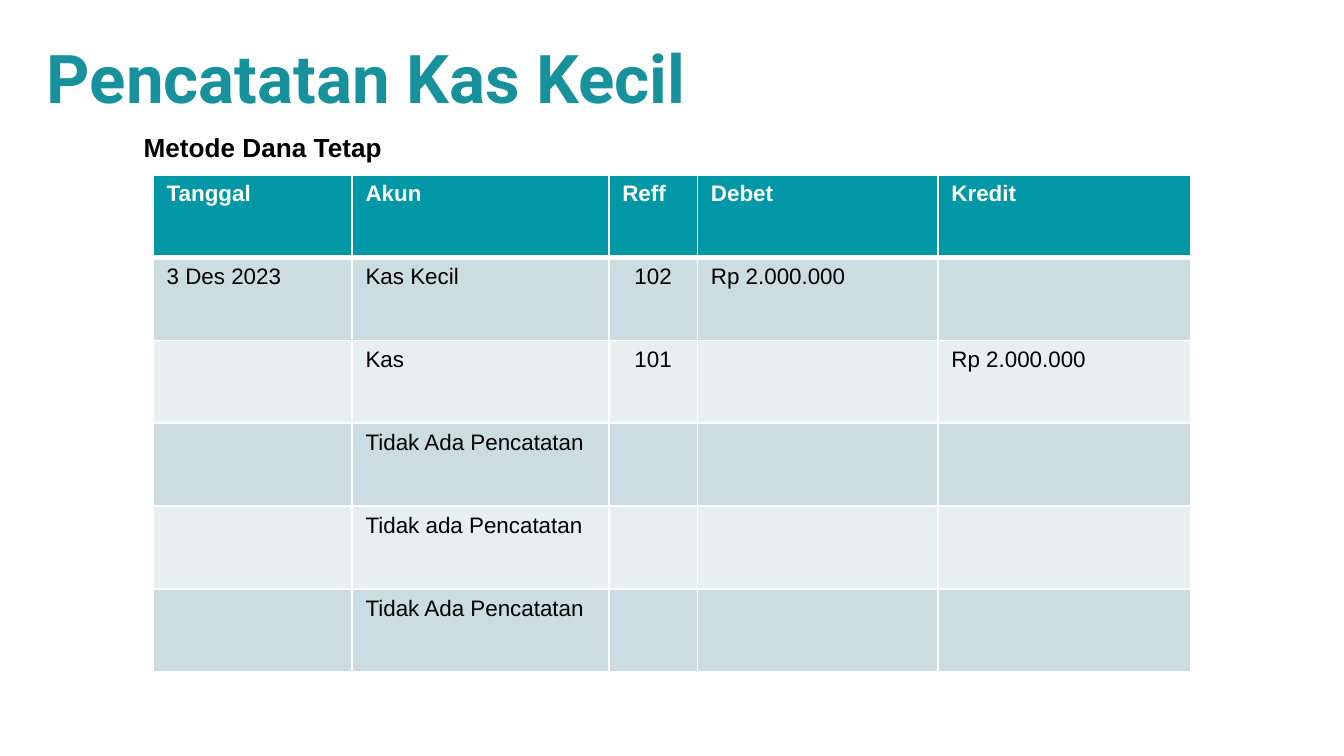
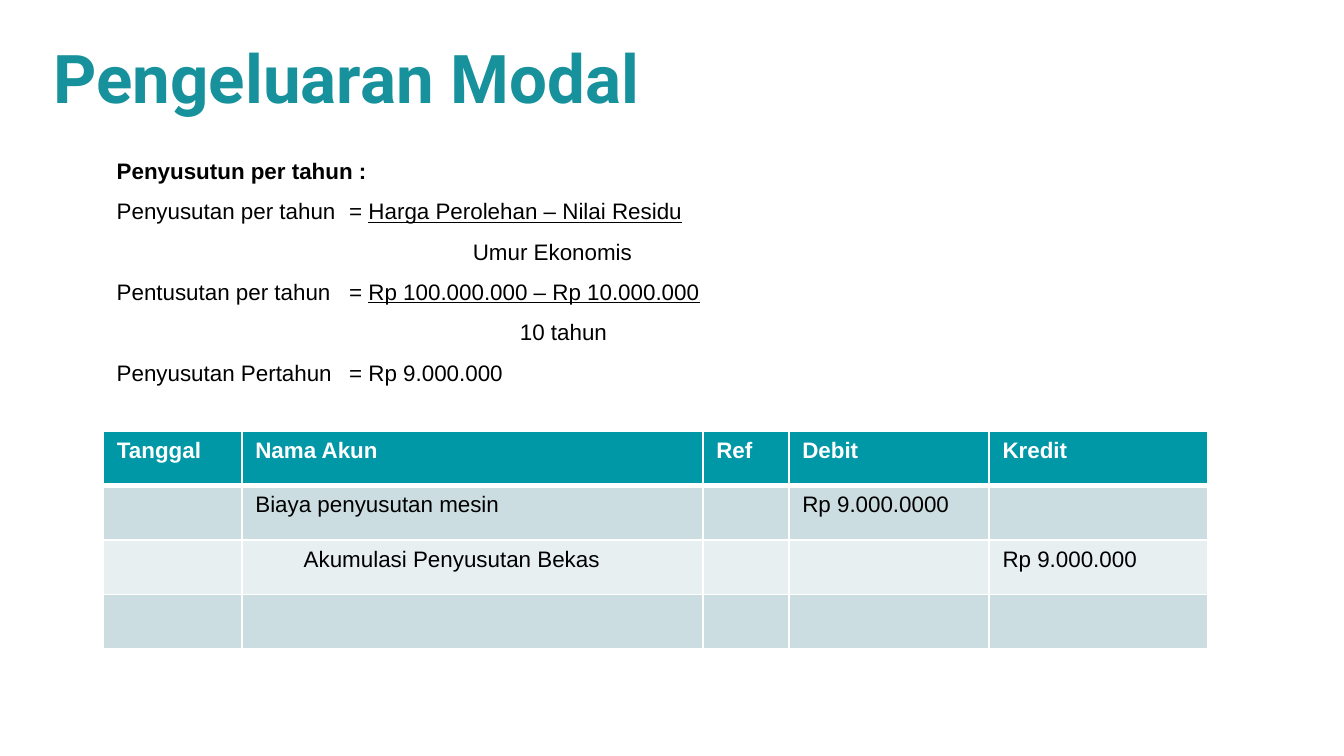
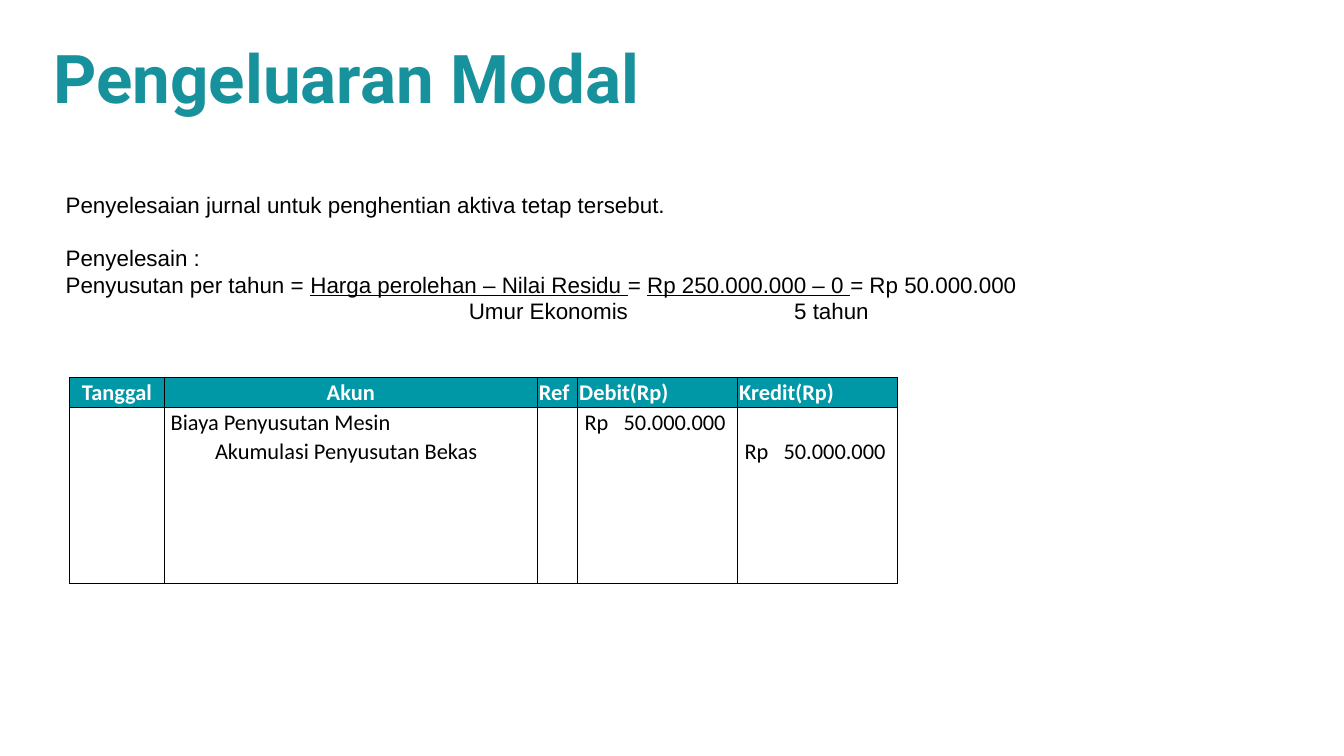
from dataclasses import dataclass

from lxml.etree import SubElement
from pptx import Presentation
from pptx.dml.color import RGBColor
from pptx.enum.text import MSO_ANCHOR, MSO_AUTO_SIZE, PP_ALIGN
from pptx.oxml.ns import qn
from pptx.util import Inches, Pt


@dataclass(frozen=True)
class Theme:
    """Colours, fonts and type sizes shared by the slides."""

    title: str = "17919B"
    header: str = "0097A7"
    bands: tuple = ("CCDDE1", "E7EFF1")
    ink: str = "000000"
    paper: str = "FFFFFF"
    title_font: str = "Roboto"
    body_font: str = "Arial"
    journal_font: str = "Calibri"
    title_size: int = 36
    subtitle_size: int = 14
    body_size: int = 12


THEME = Theme()


def style_font(font, color=THEME.ink, size=THEME.body_size, name=THEME.body_font, bold=False):
    """Apply one type style to a font."""
    font.name, font.size, font.bold = name, Pt(size), bold
    font.color.rgb = RGBColor.from_string(color)


def set_tabs(paragraph, stops):
    """Give a paragraph left tab stops, in inches."""
    tab_list = SubElement(paragraph._p.get_or_add_pPr(), qn("a:tabLst"))
    for stop in stops:
        SubElement(tab_list, qn("a:tab"), pos=str(Inches(stop)), algn="l")


def indent(paragraph, inches):
    """Move a whole paragraph to the right."""
    properties = paragraph._p.get_or_add_pPr()
    properties.set("marL", str(Inches(inches)))
    properties.set("indent", "0")


def add_text_frame(slide, box):
    """Add a wrapping text box that grows with its text."""
    frame = slide.shapes.add_textbox(*map(Inches, box)).text_frame
    frame.word_wrap = True
    frame.auto_size = MSO_AUTO_SIZE.SHAPE_TO_FIT_TEXT
    return frame


def add_title(slide, text, left):
    """Add the slide title, ending at the shared right edge."""
    frame = add_text_frame(slide, (left, 0.26, 9.67 - left, 0.62))
    frame.margin_left = frame.margin_right = frame.margin_bottom = 0
    frame.margin_top = Inches(0.01)
    heading = frame.paragraphs[0]
    heading.text = text
    indent(heading, 0.01)
    style_font(heading.runs[0].font, THEME.title, THEME.title_size, THEME.title_font, True)


def add_subtitle(slide, text, box):
    """Add the bold line that names the method."""
    frame = add_text_frame(slide, box)
    frame.text = text
    style_font(frame.paragraphs[0].runs[0].font, size=THEME.subtitle_size, bold=True)


def add_working(slide, box, lines, spacing=1.0):
    """Add calculation lines of tab stops and pieces, every second piece underlined."""
    frame = add_text_frame(slide, box)
    for number, (stops, *pieces) in enumerate(lines):
        line = frame.add_paragraph() if number else frame.paragraphs[0]
        line.line_spacing = spacing
        if stops:
            set_tabs(line, stops)
        for place, piece in enumerate(pieces):
            run = line.add_run()
            run.text = piece
            style_font(run.font)
            run.font.underline = place % 2 == 1
    return frame


def set_borders(cell, color, **widths):
    """Draw the cell edges L, R, T and B, a width of 0 meaning no line."""
    for side in "LRTB":
        width = widths.get(side, 0)
        edge = SubElement(cell._tc.get_or_add_tcPr(), qn(f"a:ln{side}"), w=str(Pt(width)))
        if width:
            fill = SubElement(edge, qn("a:solidFill"))
            SubElement(fill, qn("a:srgbClr"), val=color)
        else:
            SubElement(edge, qn("a:noFill"))


def fill_cell(cell, text, fill, color, bold, font=THEME.body_font):
    """Set the text and background of a cell."""
    cell.text = text
    entry = cell.text_frame.paragraphs[0]
    for run in entry.runs:
        style_font(run.font, color, name=font, bold=bold)
    if not text:
        SubElement(entry._p, qn("a:endParaRPr"), sz=str(THEME.body_size * 100))
    if fill:
        cell.fill.solid()
        cell.fill.fore_color.rgb = RGBColor.from_string(fill)
    else:
        cell.fill.background()


def add_grid(slide, left, top, widths, height, row_count):
    """Add an empty table with the given columns and equal rows."""
    size = Inches(sum(widths)), Inches(height)
    grid = slide.shapes.add_table(row_count, len(widths), Inches(left), Inches(top), *size).table
    for column, width in zip(grid.columns, widths):
        column.width = Inches(width)
    return grid


def add_banded_ledger(slide, left, top, widths, height, entries):
    """Add a ledger with a teal header and alternating bands."""
    ledger = add_grid(slide, left, top, widths, height, len(entries))
    for r, row in enumerate(entries):
        header = r == 0
        for c, text in enumerate(row):
            cell = ledger.cell(r, c)
            set_borders(cell, THEME.paper, L=1, R=1, T=3 if r == 1 else 1, B=3 if header else 1)
            fill_cell(cell, text, THEME.header if header else THEME.bands[(r - 1) % 2],
                      THEME.paper if header else THEME.ink, header)
    return ledger


def add_ruled_journal(slide, left, top, widths, height, row_count, entries):
    """Add a journal with column rules, a header and open rows."""
    journal = add_grid(slide, left, top, widths, height, row_count)
    blanks = [[""] * len(widths)] * (row_count - len(entries))
    for r, row in enumerate(entries + blanks):
        header = r == 0
        for c, text in enumerate(row):
            cell = journal.cell(r, c)
            cell.vertical_anchor = MSO_ANCHOR.BOTTOM
            cell.margin_left = Inches(0.01 if header else 0.05)
            cell.margin_right = cell.margin_top = Inches(0.01)
            cell.margin_bottom = 0
            set_borders(cell, THEME.ink, L=0.5, R=0.5, T=0.5 if r < 2 else 0,
                        B=0.5 if r in (0, row_count - 1) else 0)
            fill_cell(cell, text, THEME.header if header else None,
                      THEME.paper if header else THEME.ink, header, THEME.journal_font)
            if "\t" in text:
                set_tabs(cell.text_frame.paragraphs[0], [0.29])
    return journal


def build_petty_cash(slide):
    """Build the slide on recording petty cash."""
    entries = [
        ["Tanggal", "Akun", "Reff", "Debet", "Kredit"],
        ["3 Des 2023", "Kas Kecil", "102", "Rp 2.000.000", ""],
        ["", "Kas", "101", "", "Rp 2.000.000"],
        ["", "Tidak Ada Pencatatan", "", "", ""],
        ["", "Tidak ada Pencatatan", "", "", ""],
        ["", "Tidak Ada Pencatatan", "", "", ""],
    ]
    ledger = add_banded_ledger(slide, 1.14, 1.3, (1.48, 1.91, 0.66, 1.79, 1.88), 3.7, entries)
    for r in (1, 2):
        ledger.cell(r, 2).text_frame.paragraphs[0].alignment = PP_ALIGN.CENTER
    add_title(slide, "Pencatatan Kas Kecil", 0.34)
    add_subtitle(slide, "Metode Dana Tetap", (0.97, 0.93, 2.69, 0.34))


def build_depreciation(slide):
    """Build the slide on yearly depreciation."""
    equals = [1.73]
    lines = [
        ([], "Penyusutun per tahun :"),
        (equals, "Penyusutan per tahun\t= ", "Harga Perolehan – Nilai Residu"),
        ([2.65], "\tUmur Ekonomis"),
        (equals, "Pentusutan per tahun\t= ", "Rp 100.000.000 – Rp 10.000.000"),
        ([3], "\t10 tahun"),
        (equals, "Penyusutan Pertahun\t= Rp 9.000.000"),
    ]
    working = add_working(slide, (0.77, 1.02, 4.57, 1.88), lines, 1.5)
    working.paragraphs[0].runs[0].font.bold = True
    entries = [
        ["Tanggal", "Nama Akun", "Ref", "Debit", "Kredit"],
        ["", "Biaya penyusutan mesin", "", "Rp 9.000.0000", ""],
        ["", "Akumulasi Penyusutan Bekas", "", "", "Rp 9.000.000"],
        [""] * 5,
    ]
    ledger = add_banded_ledger(slide, 0.77, 3.21, (1.03, 3.43, 0.64, 1.49, 1.63), 1.62, entries)
    indent(ledger.cell(2, 1).text_frame.paragraphs[0], 0.36)
    add_title(slide, "Pengeluaran Modal", 0.39)


def build_disposal(slide):
    """Build the slide on retiring a fixed asset."""
    lines = [
        ([], "Penyelesaian jurnal untuk penghentian aktiva tetap tersebut."),
        ([], "Penyelesain :"),
        ([], "Penyusutan per tahun = ", "Harga perolehan – Nilai Residu ", "= ",
         "Rp 250.000.000 – 0 ", "= Rp 50.000.000"),
        ([3, 5.42], "\tUmur Ekonomis\t5 tahun"),
    ]
    working = add_working(slide, (0.39, 1.37, 7.32, 1.31), lines)
    working.paragraphs[1].space_before = Pt(14)
    entries = [
        ["Tanggal", "Akun", "Ref", "Debit(Rp)", "Kredit(Rp)"],
        ["", "Biaya Penyusutan Mesin", "", "Rp\t50.000.000", ""],
        ["", "Akumulasi Penyusutan Bekas", "", "", "Rp\t50.000.000"],
    ]
    widths = (0.7, 2.78, 0.3, 1.19, 1.19)
    journal = add_ruled_journal(slide, 0.52, 2.81, widths, 1.53, 7, entries)
    for c in (0, 1):
        journal.cell(0, c).text_frame.paragraphs[0].alignment = PP_ALIGN.CENTER
    journal.cell(2, 1).margin_left = Inches(0.38)
    add_title(slide, "Pengeluaran Modal", 0.39)


def main():
    """Build and save the presentation."""
    deck = Presentation()
    deck.slide_width = Inches(10)
    deck.slide_height = deck.slide_width * 9 // 16
    blank = deck.slide_layouts[6]
    for build in (build_petty_cash, build_depreciation, build_disposal):
        build(deck.slides.add_slide(blank))
    deck.save("out.pptx")


if __name__ == "__main__":
    main()
